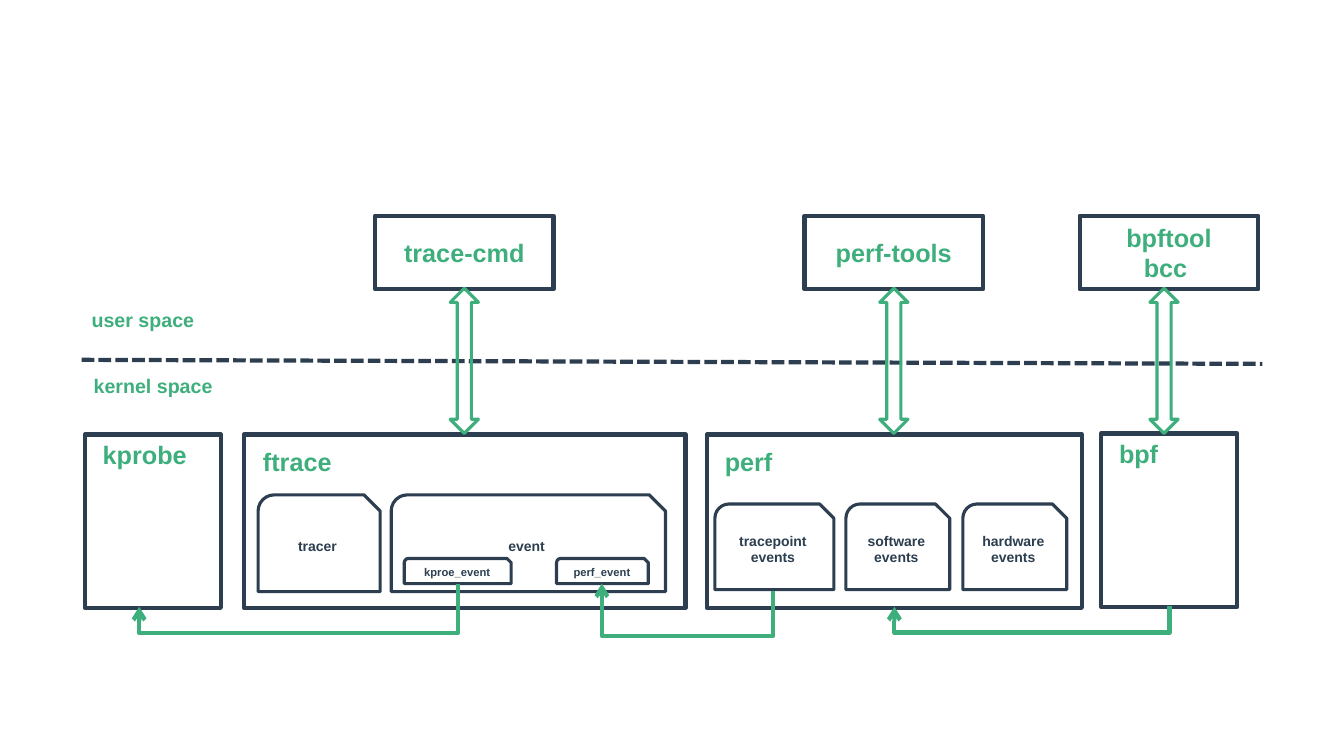
from lxml import etree
from pptx import Presentation
from pptx.dml.color import RGBColor
from pptx.enum.dml import MSO_LINE
from pptx.enum.shapes import MSO_CONNECTOR as Link, MSO_SHAPE as Shape
from pptx.enum.text import MSO_ANCHOR as Anchor, PP_ALIGN as Align
from pptx.oxml.ns import qn
from pptx.util import Inches, Pt

COLORS = {"navy": "2C3E50", "green": "3EAF7C"}

# Content: user-space tools (left edge, lines of text)
TOOLS = [(3.72, ["trace-cmd"]), (7.98, ["perf-tools"]), (10.71, ["bpftool", "bcc "])]
TOOL_TOP, TOOL_W, TOOL_H = 2.14, 1.77, 0.73

# Kernel subsystems: name, left, top, width, offset of the title (x, y)
SUBSYSTEMS = [
    ("kprobe", 0.84, 4.31, 1.35, 0.08, 0),
    ("ftrace", 2.42, 4.31, 4.38, 0.09, 0.07),
    ("perf", 7.01, 4.31, 3.72, 0.08, 0.07),
    ("bpf", 10.92, 4.3, 1.35, 0.08, 0),
]
SUBSYSTEM_H = 1.72

# Parts inside the subsystems: (top, height, text size, [(text, left, width)])
PARTS = [
    (4.91, 0.96, 10, [("tracer", 2.56, 1.21), ("event", 3.88, 2.72)]),
    (5.54, 0.25, 8, [("kproe_event", 4.01, 1.06), ("perf_event", 5.52, 0.91)]),
    (5, 0.85, 10, [("tracepoint events", 7.09, 1.18),
                   ("software events", 8.39, 1.03),
                   ("hardware events", 9.55, 1.03)]),
]

# Space labels: text, left, top, width
SPACES = [("user space", 0.81, 3.01, 1.38), ("kernel space", 0.83, 3.66, 1.59)]

# Links under the subsystems: start, end, lowest level
LINKS = [
    ((4.54, 5.79), (1.38, 6.02), 6.28),
    ((7.67, 5.86), (5.97, 5.79), 6.31),
    ((11.6, 6.01), (8.87, 6.02), 6.28),
]

prs = Presentation()
prs.slide_width, prs.slide_height = Inches(13.33), Inches(7.5)
s = prs.slides.add_slide(prs.slide_layouts[6])


def color(name):
    return RGBColor.from_string(COLORS[name])


def write(sp, lines, size, name, **formats):
    tf = sp.text_frame
    for key, value in {"word_wrap": True, **formats}.items():
        setattr(tf, key, value)
    for i, line in enumerate(lines):
        p = tf.paragraphs[0] if i == 0 else tf.add_paragraph()
        p.alignment = Align.CENTER if formats.get("vertical_anchor") else Align.LEFT
        r = p.add_run()
        r.text = line
        for key, value in {"name": "Arial", "size": Pt(size), "bold": True}.items():
            setattr(r.font, key, value)
        r.font.color.rgb = color(name)


def outline(kind, box, name, width):
    sp = s.shapes.add_shape(kind, *map(Inches, box))
    sp.shadow.inherit = False
    sp.fill.background()
    sp.line.color.rgb = color(name)
    sp.line.width = Pt(width)
    return sp


def label(text, box, size, wrap=True):
    write(s.shapes.add_textbox(*map(Inches, box)), [text], size, "green", word_wrap=wrap)


def connect(kind, points, name):
    c = s.shapes.add_connector(kind, *map(Inches, points))
    etree.SubElement(c._element.spPr, qn("a:effectLst"))
    c.line.color.rgb = color(name)
    c.line.width = Pt(3)
    return c


def link(start, end, low):
    """Elbow that leaves downwards, runs left and rises into its end."""
    (x1, y1), (x2, y2) = start, end
    cx, cy, rise, run = (x1 + x2) / 2, (y1 + y2) / 2, y2 - y1, x1 - x2
    c = connect(Link.ELBOW, (cx - rise / 2, cy - run / 2,
                             cx + rise / 2, cy + run / 2), "green")
    spPr = c._element.spPr
    spPr.find(qn("a:xfrm")).set("rot", str(90 * 60000))
    guides = spPr.find(qn("a:prstGeom")).get_or_add_avLst()
    bend = round((low - y1) / rise * 100000)
    etree.SubElement(guides, qn("a:gd"), name="adj1", fmla=f"val {bend}")
    etree.SubElement(spPr.find(qn("a:ln")), qn("a:tailEnd"), type="arrow")


# Kernel subsystems and their titles
for name, x, y, w, dx, dy in SUBSYSTEMS:
    outline(Shape.RECTANGLE, (x, y, w, SUBSYSTEM_H), "navy", 3)
    label(name, (x + dx, y + dy, 1.28, 0.4), 18)

# Parts with one snipped corner
for top, height, size, row in PARTS:
    for text, x, w in row:
        sp = outline(Shape.SNIP_ROUND_RECTANGLE, (x, top, w, height), "navy", 2.25)
        write(sp, [text], size, "navy", vertical_anchor=Anchor.MIDDLE)

# Border between user space and kernel space
border = connect(Link.STRAIGHT, (0.81, 3.57, 12.52, 3.61), "navy")
border.line.dash_style = MSO_LINE.SQUARE_DOT
for text, x, y, w in SPACES:
    label(text, (x, y, w, 0.34), 14, wrap=False)

# User-space tools, each with a double arrow to the kernel
for x, lines in TOOLS:
    sp = outline(Shape.RECTANGLE, (x, TOOL_TOP, TOOL_W, TOOL_H), "navy", 3)
    write(sp, lines, 18, "green", vertical_anchor=Anchor.MIDDLE)
    middle = x + TOOL_W / 2 - 0.05 * (x > 10)
    outline(Shape.UP_DOWN_ARROW, (middle - 0.14, 2.86, 0.28, 1.44), "green", 2.25)

# Links between kernel parts
for start, end, low in LINKS:
    link(start, end, low)

prs.save("out.pptx")
